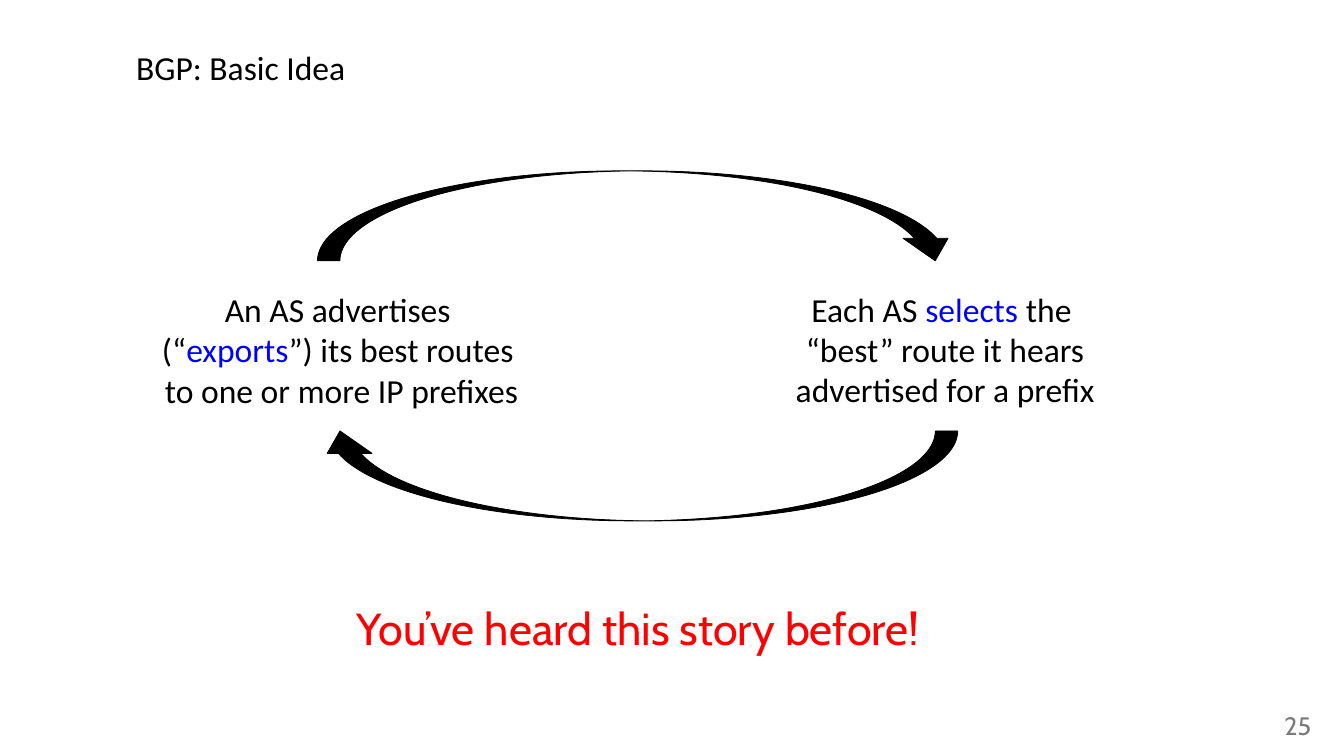
from dataclasses import dataclass

from pptx import Presentation
from pptx.dml.color import RGBColor
from pptx.enum import shapes, text
from pptx.util import Emu, Pt

PX = 9144  # EMU per px, 100 px to the inch
BLACK, BLUE, RED, GREY = "000000", "0000FF", "FF0000", "7A7A7A"
LEFT, CENTER = text.PP_ALIGN.LEFT, text.PP_ALIGN.CENTER
TOP, MIDDLE = text.MSO_ANCHOR.TOP, text.MSO_ANCHOR.MIDDLE


@dataclass
class Label:
    place: tuple[int, int, int, int]
    spans: list[tuple[str, str]]  # wording and colour; \n breaks the line
    font: str = "Calibri"
    size: float = 32
    align: text.PP_ALIGN = CENTER
    anchor: text.MSO_ANCHOR = TOP
    inset: tuple[int, int] = (0, 0)  # horizontal, vertical
    wrap: bool = True


@dataclass
class Arrow:
    place: tuple[int, int, int, int]
    rotation: int


def px(value: int) -> Emu:
    return Emu(value * PX)


def color(value: str) -> RGBColor:
    return RGBColor.from_string(value)


def draw_label(page, label: Label) -> None:
    box = page.shapes.add_textbox(*map(px, label.place))
    frame = box.text_frame
    frame.word_wrap = label.wrap
    frame.vertical_anchor = label.anchor
    frame.margin_left = frame.margin_right = px(label.inset[0])
    frame.margin_top = frame.margin_bottom = px(label.inset[1])
    para = frame.paragraphs[0]
    para.alignment = label.align
    para.font.name = label.font
    para.font.size = Pt(label.size)
    for wording, tint in label.spans:
        for index, line in enumerate(wording.split("\n")):
            if index:
                para.add_line_break()
            span = para.add_run()
            span.text = line
            span.font.color.rgb = color(tint)


def draw_arrow(page, arrow: Arrow) -> None:
    shape = page.shapes.add_shape(
        shapes.MSO_SHAPE.CURVED_LEFT_ARROW, *map(px, arrow.place))
    shape.rotation = arrow.rotation
    shape.shadow.inherit = False
    shape.fill.solid()
    shape.fill.fore_color.rgb = color(BLACK)
    shape.line.color.rgb = color(BLACK)
    shape.line.width = Pt(0.75)


TITLE = Label((174, 0, 1431, 178), [("BGP: Basic Idea", BLACK)],
              align=LEFT, anchor=MIDDLE, inset=(6, 6))
SELECT = Label((982, 367, 537, 189),
               [("Each AS ", BLACK), ("selects", BLUE),
                (" the \n“best” route it hears advertised for a prefix", BLACK)],
               anchor=MIDDLE)
EXPORT = Label((174, 375, 556, 189),
               [("An AS advertises \n(“", BLACK), ("exports", BLUE),
                ("”) its best routes \nto one or more IP prefixes", BLACK)],
               inset=(13, 7))
REMARK = Label((458, 789, 773, 82), [("You’ve heard this story before!", RED)],
               font="Cabin", size=42.7, inset=(10, 5), wrap=False)
NUMBER = Label((1694, 939, 46, 50), [("25", GREY)],
               font="Cabin", size=24, wrap=False)

# The upper arrow runs to the right, the lower one back to the left
ARROWS = [Arrow((784, -138, 119, 847), 270), Arrow((784, 206, 119, 847), 90)]


def main() -> None:
    deck = Presentation()
    deck.slide_width, deck.slide_height = px(1778), px(1000)
    page = deck.slides.add_slide(deck.slide_layouts[6])

    # Cycle of exporting and selecting routes
    for arrow in ARROWS:
        draw_arrow(page, arrow)

    # Wording
    for label in (TITLE, SELECT, EXPORT, REMARK, NUMBER):
        draw_label(page, label)

    deck.save("out.pptx")


if __name__ == "__main__":
    main()
